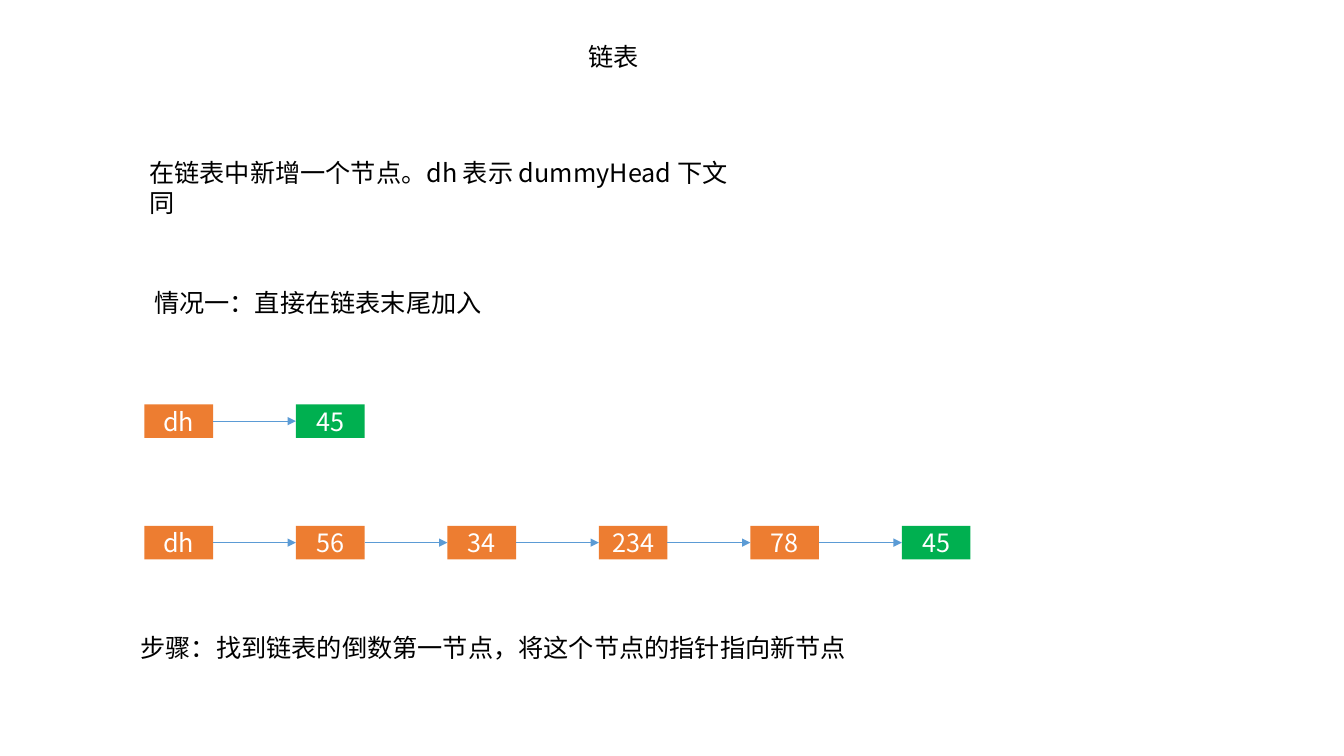
from dataclasses import dataclass
from itertools import pairwise

from lxml.etree import SubElement
from pptx import Presentation
from pptx.dml.color import RGBColor
from pptx.enum.shapes import MSO_CONNECTOR as CONNECTOR, MSO_SHAPE as SHAPE
from pptx.enum.text import MSO_ANCHOR as ANCHOR, MSO_AUTO_SIZE as AUTO_SIZE, PP_ALIGN as ALIGN
from pptx.oxml.ns import qn
from pptx.util import Pt


@dataclass(frozen=True)
class Theme:
    """Colours, font and sizes of the slide."""
    text: RGBColor = RGBColor(0x00, 0x00, 0x00)
    node_text: RGBColor = RGBColor(0xFF, 0xFF, 0xFF)
    node: RGBColor = RGBColor(0xED, 0x7D, 0x31)
    new_node: RGBColor = RGBColor(0x00, 0xB0, 0x50)
    arrow: RGBColor = RGBColor(0x5B, 0x9B, 0xD5)
    font: str = "Noto Sans CJK SC"
    size: float = 18
    arrow_width: float = 0.5


THEME = Theme()


def write(sp, text, color, align, anchor, wrap=True):
    """Set and format the text of a shape."""
    tf = sp.text_frame
    tf.text = text
    tf.word_wrap = wrap
    tf.auto_size = AUTO_SIZE.NONE
    tf.vertical_anchor = anchor
    p = tf.paragraphs[0]
    p.alignment = align
    r = p.runs[0]
    r.font.name = THEME.font
    r.font.size = Pt(THEME.size)
    r.font.color.rgb = color
    SubElement(r.font._element, qn("a:ea"), typeface=THEME.font)


def add_title(slide, text, left, top, width, height):
    """Place the slide title in the given box."""
    sp = slide.shapes.title
    sp.left, sp.top, sp.width, sp.height = map(Pt, (left, top, width, height))
    write(sp, text, THEME.text, ALIGN.LEFT, ANCHOR.TOP, wrap=False)


def add_note(slide, text, left, top, width, height):
    """Place a line of explanation in the given box."""
    sp = slide.shapes.add_textbox(*map(Pt, (left, top, width, height)))
    write(sp, text, THEME.text, ALIGN.LEFT, ANCHOR.TOP)


def add_node(slide, text, color, left, top, width, height):
    """Draw one list node and return it."""
    sp = slide.shapes.add_shape(SHAPE.RECTANGLE, *map(Pt, (left, top, width, height)))
    sp.shadow.inherit = False
    sp.fill.solid()
    sp.fill.fore_color.rgb = color
    sp.line.fill.background()
    write(sp, text, THEME.node_text, ALIGN.CENTER, ANCHOR.MIDDLE)
    return sp


def add_arrow(slide, start, end):
    """Link the right side of one node to the left side of the next."""
    cxn = slide.shapes.add_connector(CONNECTOR.STRAIGHT, 0, 0, 0, 0)
    cxn.begin_connect(start, 3)
    cxn.end_connect(end, 1)
    cxn.line.color.rgb = THEME.arrow
    cxn.line.width = Pt(THEME.arrow_width)
    SubElement(cxn.line._get_or_add_ln(), qn("a:tailEnd"), type="triangle")
    SubElement(cxn._element.spPr, qn("a:effectLst"))


def add_linked_list(slide, values, left, top, width, height, pitch=108.2):
    """Draw a linked list from its first node box, with the last node as the new one."""
    last = len(values) - 1
    nodes = [
        add_node(slide, value, THEME.new_node if i == last else THEME.node,
                 left + i * pitch, top, width, height)
        for i, value in enumerate(values)
    ]
    for start, end in pairwise(nodes):
        add_arrow(slide, start, end)


def build_append_slide(prs):
    """Build the slide on appending a node to a linked list."""
    slide = prs.slides.add_slide(prs.slide_layouts[5])
    add_title(slide, "链表", 413.3, 26, 51, 29)
    add_note(slide, "在链表中新增一个节点。dh 表示 dummyHead 下文同", 99.5, 108.7, 441.5, 29)
    add_note(slide, "情况一：直接在链表末尾加入", 103, 201.6, 250.5, 29)
    add_linked_list(slide, ["dh", "45"], 103.2, 288.8, 49, 24)
    add_linked_list(slide, ["dh", "56", "34", "234", "78", "45"], 103.2, 375.6, 49, 24)
    add_note(slide, "步骤：找到链表的倒数第一节点，将这个节点的指针指向新节点", 93.3, 448, 523.5, 29)


def main():
    """Create and save the presentation."""
    prs = Presentation()
    prs.slide_width, prs.slide_height = Pt(960), Pt(540)
    build_append_slide(prs)
    prs.save("out.pptx")


if __name__ == "__main__":
    main()
